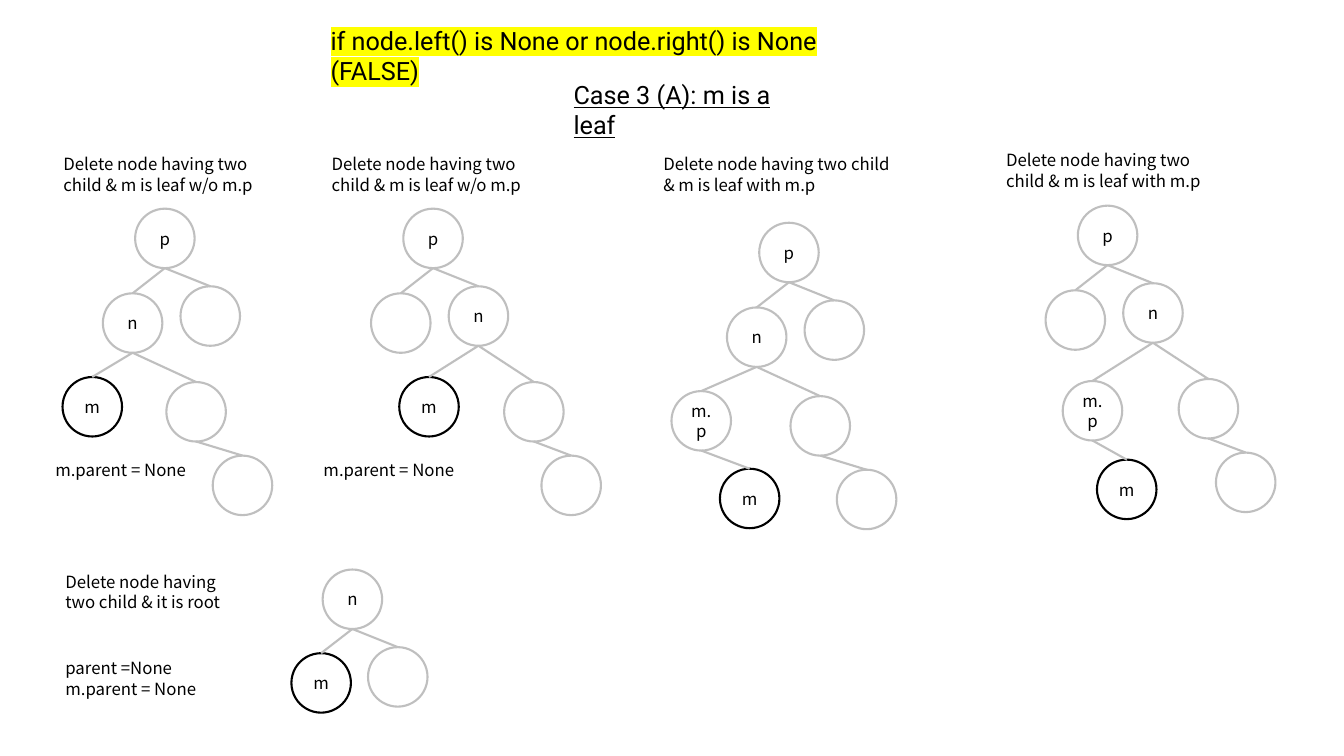
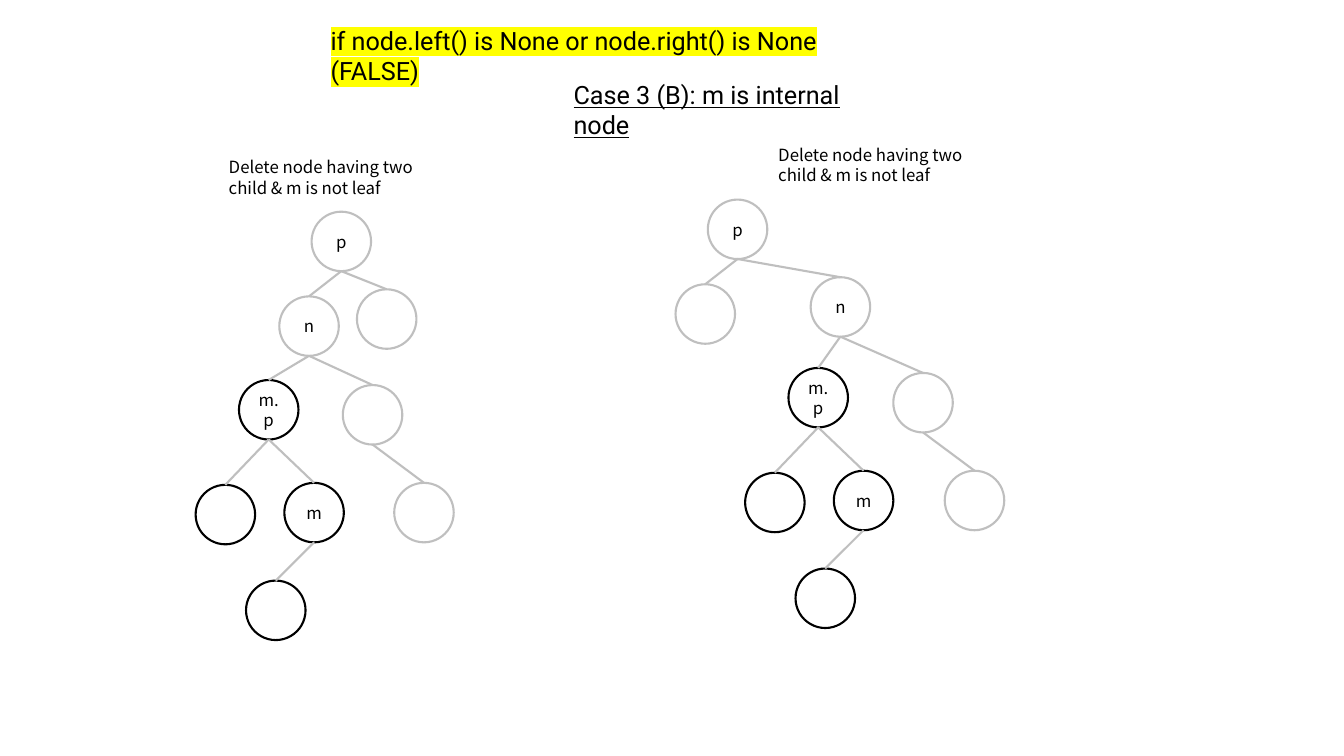
from dataclasses import dataclass

from lxml import etree
from pptx import Presentation
from pptx.dml.color import RGBColor
from pptx.enum import shapes, text
from pptx.oxml import ns
from pptx.util import Inches, Pt


@dataclass(frozen=True)
class Theme:
    ink: str = "000000"
    grey: str = "BFBFBF"
    mark: str = "FFFF00"
    head: str = "Roboto"
    body: str = "Noto Sans CJK TC"
    big: float = 18
    small: float = 12
    line: float = 1.5
    size: float = 0.59


@dataclass(frozen=True)
class Node:
    dx: float
    dy: float
    label: str = ""
    dark: bool = False
    kids: tuple = ()


@dataclass(frozen=True)
class Panel:
    x: float
    y: float
    w: float
    title: str
    root: Node
    note: tuple = ()


T = Theme()
LEFT = (-0.32, 0.84)
RIGHT = (0.45, 0.77)


def write(frame, lines, face, size, under=None):
    frame.word_wrap = True
    for i, line in enumerate(lines):
        para = frame.paragraphs[0] if i == 0 else frame.add_paragraph()
        run = para.add_run()
        run.text = line
        for font in (para.font, run.font):
            font.name = face
            font.size = Pt(size)
            font.underline = under
            font.color.rgb = RGBColor.from_string(T.ink)


def label(parent, x, y, w, h, lines, face=T.body, size=T.small, under=None):
    box = parent.shapes.add_textbox(Inches(x), Inches(y), Inches(w), Inches(h))
    write(box.text_frame, lines, face, size, under)
    return box


def shade(run):
    fill = run.font._element.find(ns.qn("a:solidFill"))
    light = etree.Element(ns.qn("a:highlight"))
    etree.SubElement(light, ns.qn("a:srgbClr"), val=T.mark)
    fill.addnext(light)


def stroke(line, color):
    line.color.rgb = RGBColor.from_string(color)
    line.width = Pt(T.line)


def circle(group, x, y, node):
    ring = group.shapes.add_shape(
        shapes.MSO_SHAPE.OVAL, Inches(x), Inches(y), Inches(T.size), Inches(T.size))
    ring.shadow.inherit = False
    ring.fill.background()
    stroke(ring.line, T.ink if node.dark else T.grey)
    if node.label:
        frame = ring.text_frame
        write(frame, [node.label], T.body, T.small)
        frame.vertical_anchor = text.MSO_ANCHOR.MIDDLE
        frame.paragraphs[0].alignment = text.PP_ALIGN.CENTER


def edge(group, x, y, to_x, to_y):
    half = T.size / 2
    link = group.shapes.add_connector(
        shapes.MSO_CONNECTOR.STRAIGHT, Inches(x + half), Inches(y + T.size),
        Inches(to_x + half), Inches(to_y))
    stroke(link.line, T.grey)
    etree.SubElement(link._element.spPr, ns.qn("a:effectLst"))


def tree(group, x, y, node):
    x, y = x + node.dx, y + node.dy
    circle(group, x, y, node)
    for kid in node.kids:
        tree(group, x, y, kid)
        edge(group, x, y, x + kid.dx, y + kid.dy)


def panel(slide, part):
    group = slide.shapes.add_group_shape()
    label(group, part.x, part.y, part.w, 0.5, [part.title])
    tree(group, part.x, part.y, part.root)
    if part.note:
        dx, dy, lines = part.note
        label(group, part.x + dx, part.y + dy, 1.58, 0.1 + 0.2 * len(lines), lines)


def heading(slide, case, width):
    label(slide, 5.59, 0.74, width, 0.4, [case], T.head, T.big, True)
    rule = label(slide, 3.18, 0.2, 5.78, 0.4,
                 ["if node.left() is None or node.right() is None (FALSE)"],
                 T.head, T.big)
    shade(rule.text_frame.paragraphs[0].runs[0])


def chain(dx, dy, tail_x, tail_y):
    return Node(dx, dy, kids=(Node(tail_x, tail_y),))


def leaf(dx, dy):
    return Node(dx, dy, "m", True)


def inner(dx, dy):
    twig = Node(-0.38, 0.97, dark=True)
    return Node(dx, dy, "m.p", True, (
        Node(-0.43, 1.04, dark=True),
        Node(0.45, 1.02, "m", True, (twig,))))


def left(dx, dy, *kids):
    return Node(dx, dy, "p", kids=(Node(*LEFT, "n", kids=kids), Node(*RIGHT)))


def right(dx, dy, *kids, at=RIGHT):
    return Node(dx, dy, "p", kids=(Node(*LEFT), Node(*at, "n", kids=kids)))


def cases():
    lone = "Delete node having two child & m is leaf w/o m.p"
    both = "Delete node having two child & m is leaf with m.p"
    deep = "Delete node having two child & m is not leaf"
    none = (-0.08, 3.03, ["m.parent = None"])
    near = chain(0.63, 0.88, 0.46, 0.73)
    far = chain(0.55, 0.95, 0.37, 0.73)
    leaves = [
        Panel(0.53, 1.48, 2.35, lone, left(0.81, 0.59, leaf(-0.4, 0.83), near), none),
        Panel(3.19, 1.48, 2.39, lone, right(0.81, 0.59, leaf(-0.49, 0.9), far), none),
        Panel(0.55, 5.62, 1.86, "Delete node having two child & it is root",
              Node(2.65, 0.03, "n", kids=(leaf(-0.31, 0.83), Node(*RIGHT))),
              (0, 0.86, ["parent =None", "m.parent = None"])),
        Panel(6.48, 1.48, 2.52, both, left(
            1.05, 0.73, Node(-0.55, 0.83, "m.p", kids=(leaf(0.48, 0.77),)), near)),
        Panel(9.88, 1.44, 2.39, both, right(
            0.81, 0.6, Node(-0.6, 0.97, "m.p", kids=(leaf(0.34, 0.78),)), far)),
    ]
    inners = [
        Panel(2.17, 1.51, 2.11, deep, left(
            0.92, 0.59, inner(-0.4, 0.83), chain(0.63, 0.88, 0.51, 0.97))),
        Panel(7.62, 1.39, 2.11, deep, right(
            -0.6, 0.59, inner(-0.22, 0.9), chain(0.82, 0.95, 0.51, 0.97),
            at=(1.02, 0.77))),
    ]
    return [("Case 3 (A): m is a leaf", 2.52, leaves),
            ("Case 3 (B): m is internal node", 3.36, inners)]


def main():
    deck = Presentation()
    deck.slide_width, deck.slide_height = Inches(13.33), Inches(7.5)
    for case, width, parts in cases():
        slide = deck.slides.add_slide(deck.slide_layouts[6])
        heading(slide, case, width)
        for part in parts:
            panel(slide, part)
    deck.save("out.pptx")


if __name__ == "__main__":
    main()
